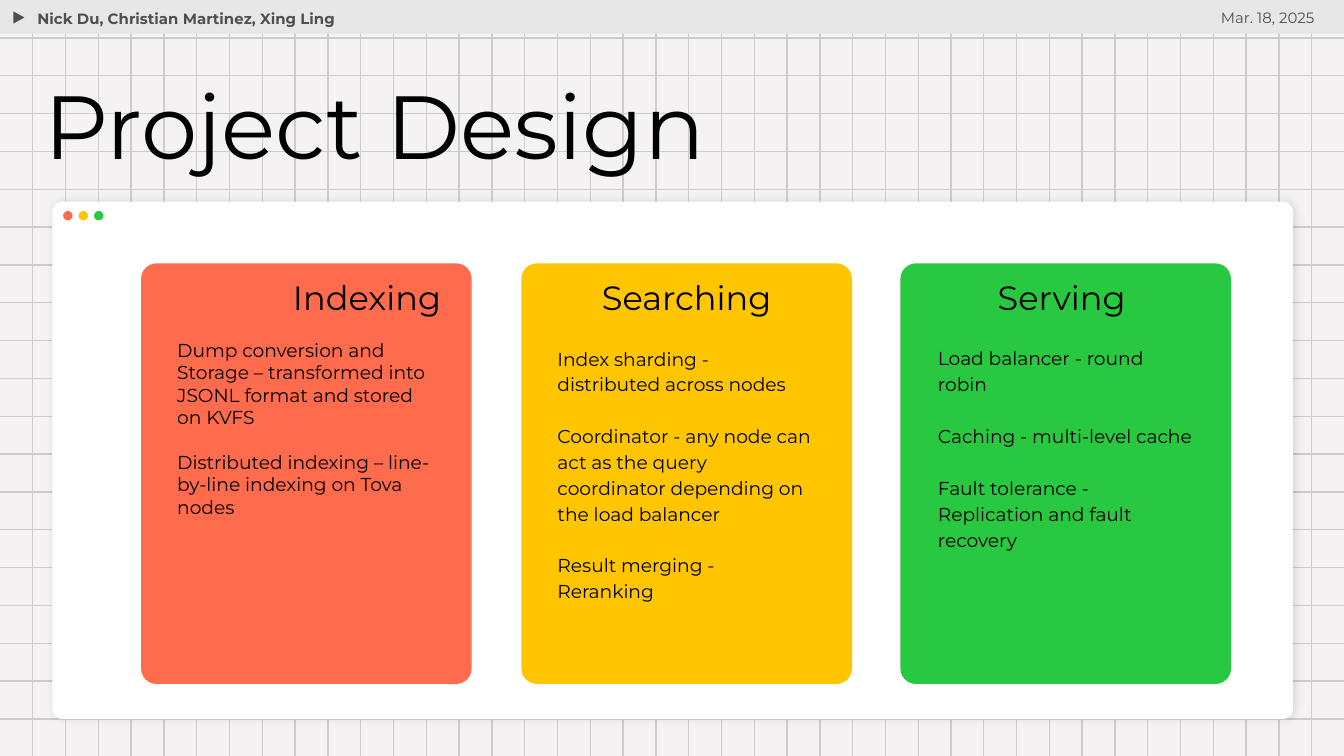
from dataclasses import dataclass

from lxml import etree
from pptx import Presentation
from pptx.dml.color import RGBColor
from pptx.enum import shapes, text
from pptx.oxml import ns
from pptx.util import Inches, Pt


@dataclass(frozen=True)
class Theme:
    font: str = "Montserrat"
    back: str = "F4F2F2"
    grid: str = "CCCCCC"
    bar: str = "E7E7E7"
    grey: str = "4F4F4F"
    black: str = "000000"
    white: str = "FFFFFF"
    red: str = "FF6B4D"
    gold: str = "FFC600"
    green: str = "28C840"
    title: int = 48
    head: int = 18
    body: int = 10
    small: int = 8


@dataclass(frozen=True)
class Box:
    left: float
    top: float
    width: float
    height: float

    def emu(self) -> tuple:
        return tuple(Inches(v) for v in (self.left, self.top, self.width, self.height))


@dataclass(frozen=True)
class Card:
    left: float
    color: str
    head: str
    head_left: float
    body: Box
    lines: tuple
    leading: float = 1.15
    gap: float = 14  # space before each later paragraph, points
    indent: float = 0  # a heading with an indent is set flush left


T = Theme()
KIND = shapes.MSO_SHAPE
ALIGN = text.PP_ALIGN
ANCHOR = text.MSO_ANCHOR
CARD_TOP, CARD_W, CARD_H = 1.96, 2.46, 3.13

CARDS = (
    Card(1.05, T.red, "Indexing", 1.08, Box(1.22, 2.42, 2.12, 1.72),
         ("Dump conversion and Storage – transformed into JSONL format and stored on KVFS",
          "Distributed indexing – line-by-line indexing on Tova nodes"),
         leading=1.0, gap=12, indent=1),
    Card(3.88, T.gold, "Searching", 3.88, Box(4.05, 2.46, 2.1, 2.31),
         ("Index sharding - distributed across nodes",
          "Coordinator - any node can act as the query coordinator depending on the load balancer",
          "Result merging - Reranking")),
    Card(6.7, T.green, "Serving", 6.67, Box(6.88, 2.46, 2.12, 2),
         ("Load balancer - round robin",
          "Caching - multi-level cache",
          "Fault tolerance - Replication and fault recovery")),
)


def rgb(color: str) -> RGBColor:
    return RGBColor.from_string(color)


def add_shape(slide, kind, box: Box, fill: str, adj: float | None = None):
    shape = slide.shapes.add_shape(kind, *box.emu())
    shape.shadow.inherit = False
    shape.fill.solid()
    shape.fill.fore_color.rgb = rgb(fill)
    shape.line.fill.background()
    if adj is not None:
        shape.adjustments[0] = adj
    return shape


def add_text(slide, box: Box, lines: tuple, size: int, color: str = T.black,
             align=ALIGN.LEFT, anchor=ANCHOR.TOP, bold: bool = False,
             leading: float = 1.0, gap: float = 0, indent: float = 0) -> None:
    frame = slide.shapes.add_textbox(*box.emu()).text_frame
    frame.word_wrap = True
    frame.vertical_anchor = anchor
    frame.margin_left = Inches(0.1 + indent)
    frame.margin_right = frame.margin_top = frame.margin_bottom = Inches(0.1)
    frame.text = "\n".join(lines)
    for i, para in enumerate(frame.paragraphs):
        para.alignment = align
        para.line_spacing = leading
        para.space_before = Pt(gap if i else 0)
        for run in para.runs:
            run.font.name = T.font
            run.font.size = Pt(size)
            run.font.bold = bold
            run.font.color.rgb = rgb(color)


def add_rule(slide, x1: int, y1: int, x2: int, y2: int) -> None:
    rule = slide.shapes.add_connector(shapes.MSO_CONNECTOR.STRAIGHT, x1, y1, x2, y2)
    rule.line.color.rgb = rgb(T.grid)
    rule.line.width = Pt(0.75)
    etree.SubElement(rule._element.spPr, ns.qn("a:effectLst"))


def add_grid(slide, wide: int, high: int) -> None:
    rows, cols = 19, 40
    for i in range(rows, 0, -1):
        y = Inches(5.35 * i / rows)
        add_rule(slide, 0, y, wide, y)
    for i in range(cols, 0, -1):
        x = Inches(9.76 * i / cols)
        add_rule(slide, x, 0, x, high)


def add_shadow(shape) -> None:
    """Give the shape a faint, soft outer shadow."""
    effects = shape._element.spPr.find(ns.qn("a:effectLst"))
    outer = etree.SubElement(effects, ns.qn("a:outerShdw"), blurRad=str(Pt(4.5)),
                             dist=str(Pt(1.5)), dir="0", algn="bl", rotWithShape="0")
    tint = etree.SubElement(outer, ns.qn("a:srgbClr"), val=T.black)
    etree.SubElement(tint, ns.qn("a:alpha"), val="11000")


def add_window(slide) -> None:
    pane = add_shape(slide, KIND.ROUNDED_RECTANGLE, Box(0.39, 1.5, 9.23, 3.85), T.white, 0.02)
    add_shadow(pane)
    for i, color in enumerate((T.red, T.gold, T.green)):
        add_shape(slide, KIND.OVAL, Box(0.47 + 0.115 * i, 1.57, 0.07, 0.07), color)


def add_card(slide, card: Card) -> None:
    add_shape(slide, KIND.ROUNDED_RECTANGLE,
              Box(card.left, CARD_TOP, CARD_W, CARD_H), card.color, 0.047)
    add_text(slide, Box(card.head_left, CARD_TOP, CARD_W, 0.5), (card.head,), T.head,
             align=ALIGN.LEFT if card.indent else ALIGN.CENTER, indent=card.indent)
    add_text(slide, card.body, card.lines, T.body, leading=card.leading, gap=card.gap)


def add_bar(slide) -> None:
    add_shape(slide, KIND.RECTANGLE, Box(0, 0, 10, 0.25), T.bar)
    arrow = add_shape(slide, KIND.ISOSCELES_TRIANGLE, Box(0.09, 0.08, 0.11, 0.1), T.grey)
    arrow.rotation = 90
    arrow.line.color.rgb = rgb(T.bar)
    arrow.line.width = Pt(0.75)


def main() -> None:
    deck = Presentation()
    deck.slide_width, deck.slide_height = Inches(10), Inches(5.625)
    slide = deck.slides.add_slide(deck.slide_layouts[6])
    slide.background.fill.solid()
    slide.background.fill.fore_color.rgb = rgb(T.back)

    add_grid(slide, deck.slide_width, deck.slide_height)
    add_bar(slide)
    add_window(slide)
    add_text(slide, Box(0.23, 0.51, 5.49, 0.93), ("Project Design",), T.title, leading=0.9)
    for card in CARDS:
        add_card(slide, card)
    add_text(slide, Box(0.18, -0.05, 2.58, 0.37), ("Nick Du, Christian Martinez, Xing Ling",),
             T.small, T.grey, anchor=ANCHOR.MIDDLE, bold=True)
    add_text(slide, Box(8.63, -0.04, 1.25, 0.34), ("Mar. 18, 2025",),
             T.small, T.grey, ALIGN.RIGHT, ANCHOR.MIDDLE)
    deck.save("out.pptx")


if __name__ == "__main__":
    main()
